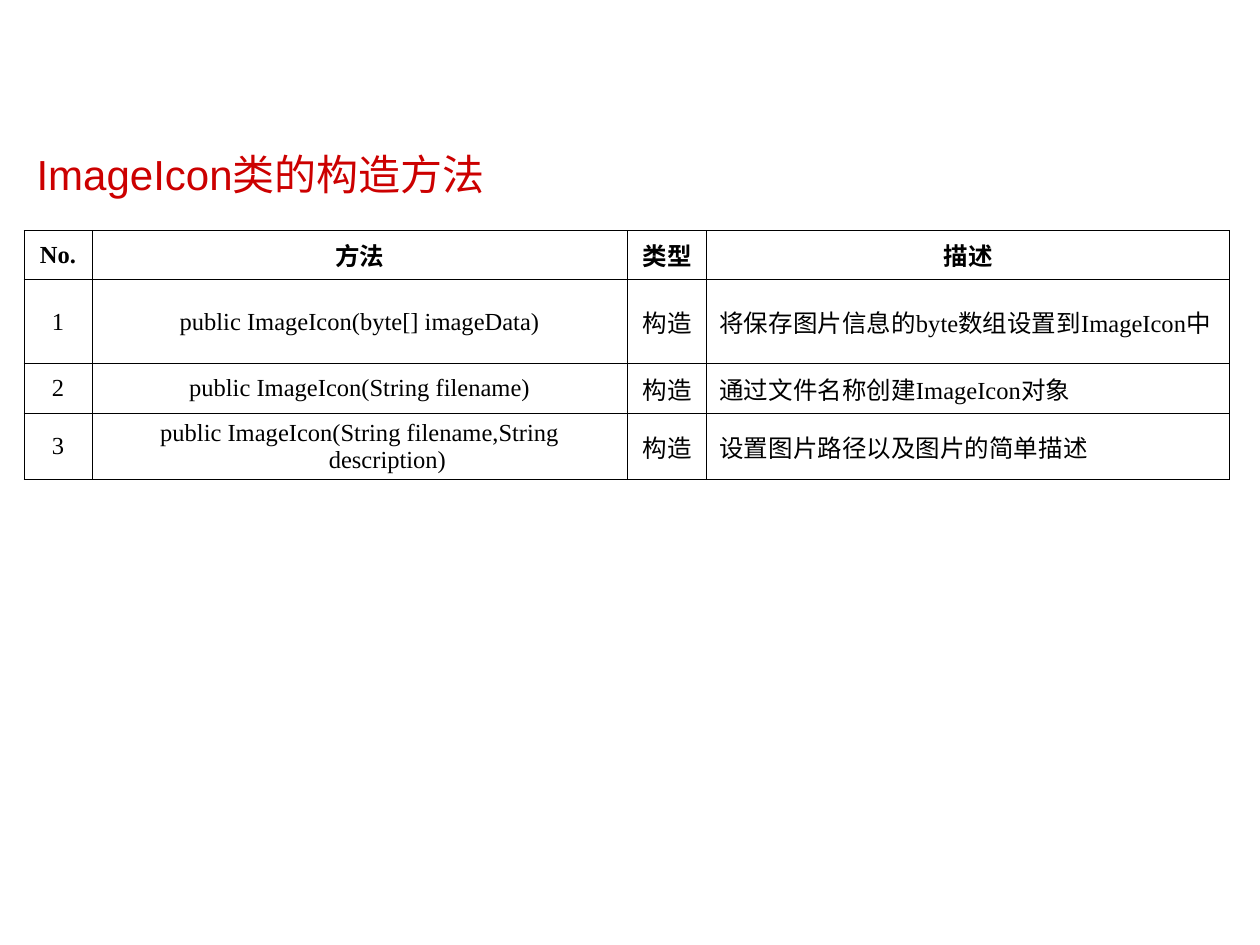
from lxml import etree
from pptx import Presentation
from pptx import util as u
from pptx.dml.color import RGBColor
from pptx.enum import shapes, text
from pptx.oxml.ns import qn

HUES = {"title": "CC0000", "ink": "000000", "mark": "FFFFFF"}
LEFT, WIDTH = 0.19, 9.57
COLS = (0.54, 4.25, 0.63, 4.15)
ROWS = (0.39, 0.66, 0.39, 0.53)
CELLS = (
    ("No.", "方法", "类型", "描述"),
    ("1", "public ImageIcon(byte[] imageData)", "构造",
     "将保存图片信息的byte数组设置到ImageIcon中"),
    ("2", "public ImageIcon(String filename)", "构造",
     "通过文件名称创建ImageIcon对象"),
    ("3", "public ImageIcon(String filename,String description)", "构造",
     "设置图片路径以及图片的简单描述"),
)


def style(para, face, size, hue, bold=False):
    """Format every run of a paragraph."""
    for run in para.runs:
        font = run.font
        font.name, font.size, font.bold = face, u.Pt(size), bold
        font.color.rgb = RGBColor.from_string(HUES[hue])


def border(cell):
    """Draw a thin line on all four sides of a cell."""
    props = cell._tc.get_or_add_tcPr()
    for side in "LRTB":
        line = etree.SubElement(props, qn(f"a:ln{side}"), w=str(u.Pt(0.45)))
        fill = etree.SubElement(line, qn("a:solidFill"))
        etree.SubElement(fill, qn("a:srgbClr"), val=HUES["ink"])


def footer(slide, box):
    """Draw the upright footer rule along the left side of the box."""
    left, top, _, high = map(u.Inches, box)
    rule = slide.shapes.add_connector(
        shapes.MSO_CONNECTOR.STRAIGHT, left, top, left, top + high)
    rule.line.width = u.Pt(0.75)
    rule.line.color.rgb = RGBColor.from_string(HUES["mark"])
    etree.SubElement(rule._element.spPr, qn("a:effectLst"))


def heading(slide, box):
    """Place the slide title in the given box."""
    title = slide.shapes.title
    title.left, title.top, title.width, title.height = map(u.Inches, box)
    frame = title.text_frame
    frame.text = "ImageIcon类的构造方法"
    frame.vertical_anchor = text.MSO_ANCHOR.MIDDLE
    para = frame.paragraphs[0]
    para.alignment = text.PP_ALIGN.LEFT
    para.line_spacing = 0.9
    style(para, "Arial", 24, "title")


def entry(cell, words, head, left):
    """Fill one table cell with a hanging paragraph."""
    border(cell)
    cell.fill.background()
    cell.vertical_anchor = text.MSO_ANCHOR.MIDDLE
    para = cell.text_frame.paragraphs[0]
    para.text = words
    para.alignment = text.PP_ALIGN.LEFT if left else text.PP_ALIGN.CENTER
    props = para._p.get_or_add_pPr()
    props.set("marL", str(u.Inches(0.44)))
    props.set("indent", str(u.Inches(-0.44)))
    style(para, "Times New Roman", 14, "ink", head)


def methods(slide, box):
    """Build the table of constructors in the given box."""
    table = slide.shapes.add_table(
        len(ROWS), len(COLS), *map(u.Inches, box)).table
    table.horz_banding = False
    for col, share in zip(table.columns, COLS):
        col.width = u.Inches(box[2] * share / sum(COLS))
    for row, share in zip(table.rows, ROWS):
        row.height = u.Inches(box[3] * share / sum(ROWS))
    for r, line in enumerate(CELLS):
        for c, words in enumerate(line):
            entry(table.cell(r, c), words, r == 0, r > 0 and c == 3)


def main():
    """Build and save the slide."""
    deck = Presentation()
    deck.slide_width, deck.slide_height = u.Inches(10), u.Inches(7.5)
    slide = deck.slides.add_slide(deck.slide_layouts[5])
    footer(slide, (0.93, 7.09, WIDTH, 0.21))
    heading(slide, (LEFT, 0.97, WIDTH, 0.86))
    methods(slide, (LEFT, 1.83, WIDTH, sum(ROWS)))
    deck.save("out.pptx")


if __name__ == "__main__":
    main()
